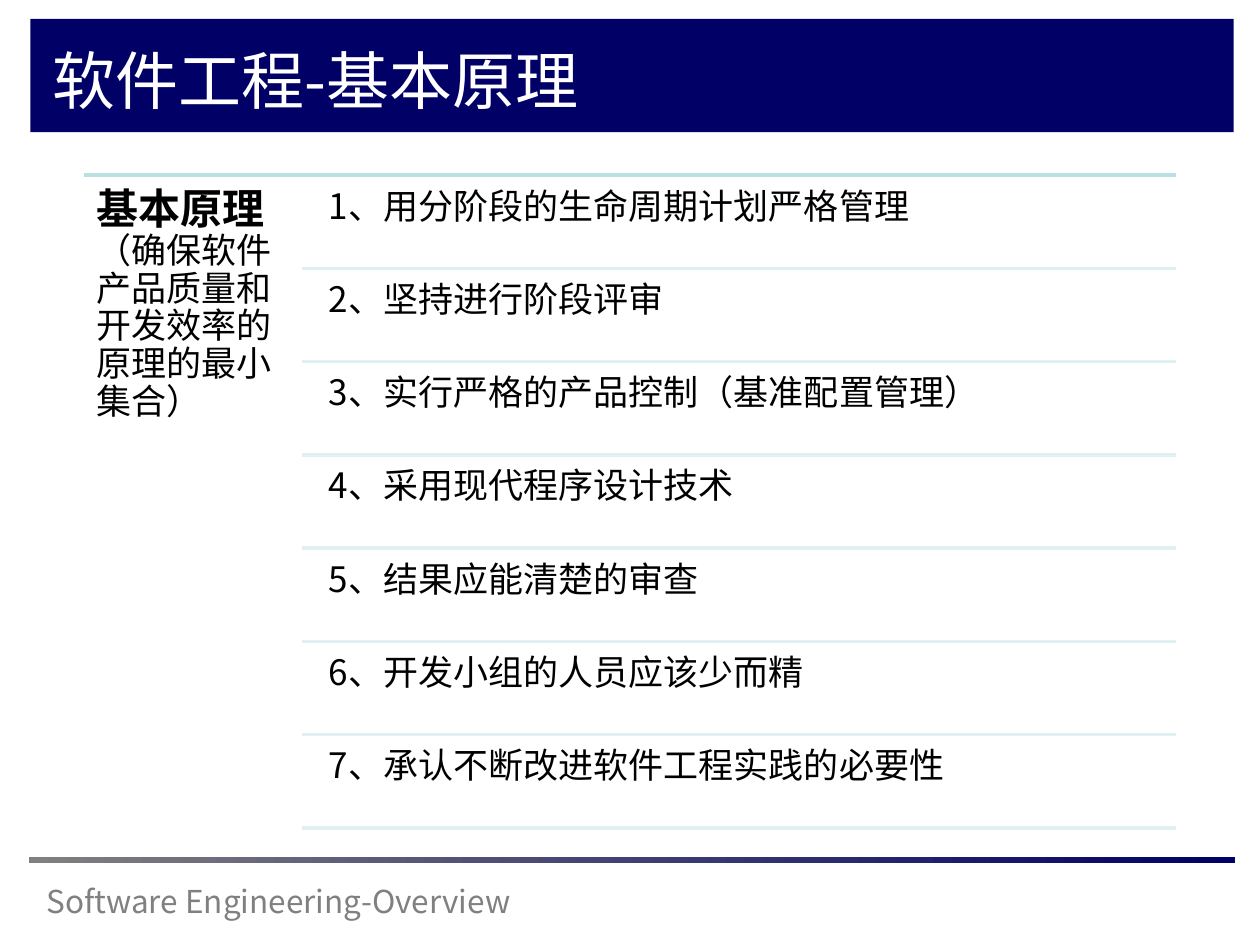
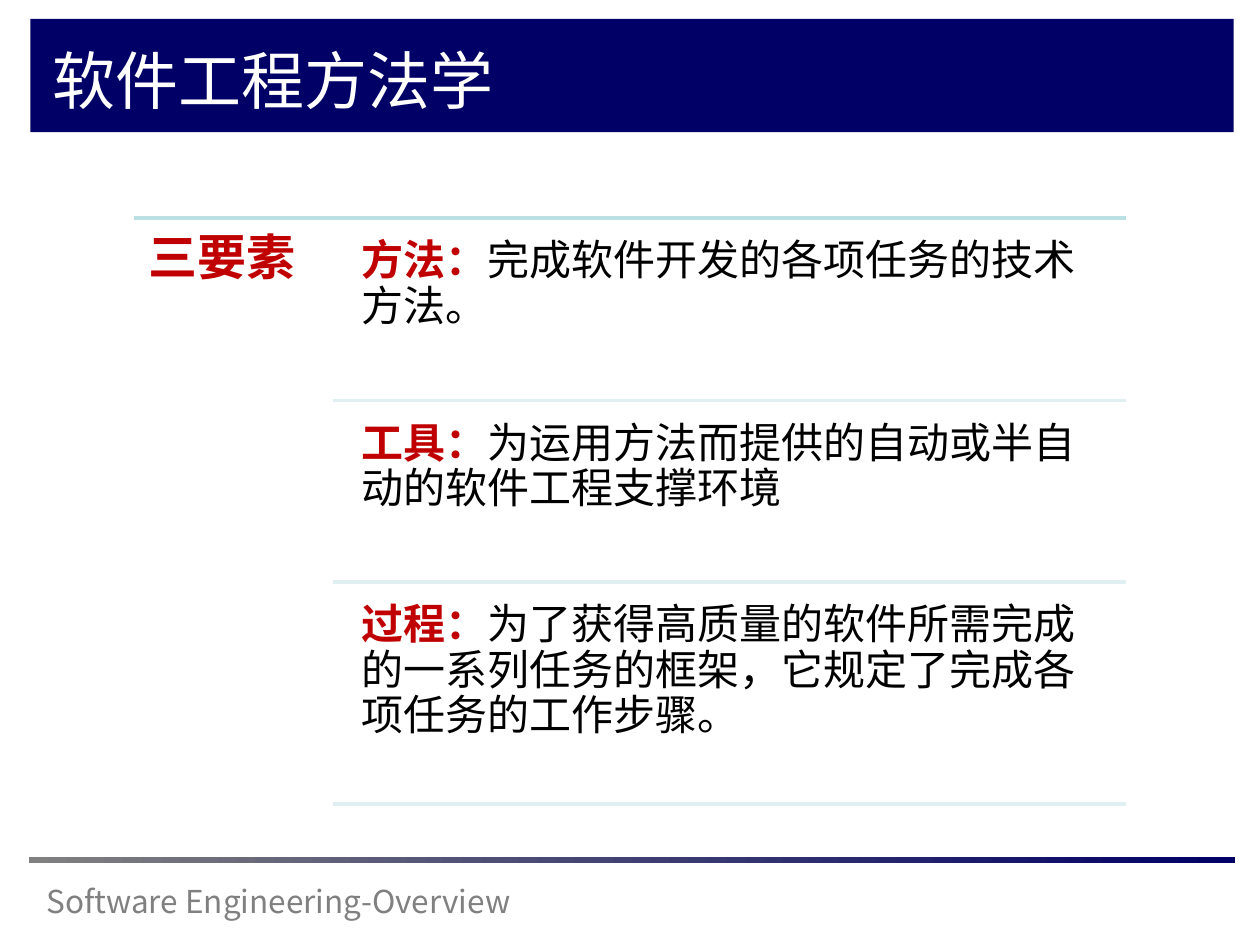
from lxml.etree import SubElement
from pptx import Presentation
from pptx.dml.color import RGBColor
from pptx.enum.shapes import MSO_CONNECTOR as CONN, MSO_SHAPE as SHAPE
from pptx.enum.text import MSO_ANCHOR as ANCHOR
from pptx.oxml.ns import qn
from pptx.util import Inches, Pt

FONT = "Noto Sans CJK SC"
NAVY, GRAY, WHITE, BLACK, RED = "000066", "808080", "FFFFFF", "000000", "C00000"
TEAL, PALE = "BBE0E3", "E0F0F2"

PRINCIPLES = [
    "用分阶段的生命周期计划严格管理",
    "坚持进行阶段评审",
    "实行严格的产品控制（基准配置管理）",
    "采用现代程序设计技术",
    "结果应能清楚的审查",
    "开发小组的人员应该少而精",
    "承认不断改进软件工程实践的必要性",
]
ELEMENTS = [
    ("方法：", "完成软件开发的各项任务的技术方法。", 1.38),
    ("工具：", "为运用方法而提供的自动或半自动的软件工程支撑环境", 1.37),
    ("过程：", "为了获得高质量的软件所需完成的一系列任务的框架，它规定了完成各项任务的工作步骤。", 1.69),
]


def rgb(value):
    """Turn a hex string into a colour."""
    return RGBColor.from_string(value)


def run(text, size=20, color=BLACK, bold=False):
    """Describe a piece of text and its format."""
    return {"text": text, "size": size, "color": color, "bold": bold}


class Deck:
    """Holds the shared style and the current slide."""

    def __init__(self):
        """Start an empty 10 by 7.5 inch deck."""
        self.prs = Presentation()
        self.prs.slide_width, self.prs.slide_height = Inches(10), Inches(7.5)
        self.s = None

    def slide(self, title):
        """Add a slide with its title band, footer and footer rule."""
        self.s = self.prs.slides.add_slide(self.prs.slide_layouts[6])
        self.band(0.24, 0.15, 9.55, 0.9, NAVY)
        self.text(0.27, 6.95, 5.17, 0.4, [run("Software Engineering-Overview", 18, GRAY)])
        self.band(0.23, 6.8, 9.57, 0.05, GRAY, NAVY)
        self.text(0.32, 0.26, 8.81, 0.74, [run(title, 36, WHITE)], anchor=ANCHOR.MIDDLE)

    def band(self, x, y, w, h, color, end=None):
        """Draw a borderless rectangle, fading to the end colour if given."""
        sp = self.s.shapes.add_shape(SHAPE.RECTANGLE, Inches(x), Inches(y), Inches(w), Inches(h))
        sp.shadow.inherit = False
        sp.line.fill.background()
        if end:
            sp.fill.gradient()
            sp.fill.gradient_angle = 0
            for stop, shade in zip(sp.fill.gradient_stops, (color, end)):
                stop.color.rgb = rgb(shade)
        else:
            sp.fill.solid()
            sp.fill.fore_color.rgb = rgb(color)

    def text(self, x, y, w, h, runs, inset=None, spacing=None, anchor=ANCHOR.TOP):
        """Place one wrapped paragraph made of formatted runs."""
        sp = self.s.shapes.add_textbox(Inches(x), Inches(y), Inches(w), Inches(h))
        tf = sp.text_frame
        tf.word_wrap = True
        tf.vertical_anchor = anchor
        if inset is not None:
            tf.margin_left = tf.margin_right = tf.margin_top = tf.margin_bottom = Inches(inset)
        p = tf.paragraphs[0]
        if spacing:
            p.line_spacing = spacing
        for part in runs:
            r = p.add_run()
            r.text = part["text"]
            r.font.size, r.font.bold = Pt(part["size"]), part["bold"]
            r.font.color.rgb = rgb(part["color"])
            r.font.name = FONT
            SubElement(r.font._element, qn("a:ea"), typeface=FONT)

    def rule(self, x1, x2, y, color):
        """Draw a horizontal line."""
        c = self.s.shapes.add_connector(CONN.STRAIGHT, Inches(x1), Inches(y), Inches(x2), Inches(y))
        c.line.color.rgb = rgb(color)
        c.line.width = Pt(2)
        SubElement(c._element.spPr, qn("a:effectLst"))

    def outline(self, left, split, right, top, label, rows, gap, insets):
        """Set a label beside rows of (runs, height), each closed by a rule."""
        height = sum(gap + h for _, h in rows)
        self.rule(left, right, top, TEAL)
        self.text(left, top, split - left, height, label, insets[0], 0.9)
        indent, y = 0.13, top
        for runs, h in rows:
            y += gap
            self.text(split + indent, y, right - split - indent, h, runs, insets[1], 0.9)
            y += h
            self.rule(split, right, y, PALE)


def main():
    """Build and save both slides."""
    deck = Deck()

    deck.slide("软件工程-基本原理")
    label = [run("基本原理", 24, bold=True), run("（确保软件产品质量和开发效率的原理的最小集合）")]
    rows = [([run(f"{n}、{text}")], 0.71) for n, text in enumerate(PRINCIPLES, 1)]
    deck.outline(0.67, 2.4, 9.33, 1.39, label, rows, gap=0.03, insets=(0.1, 0.08))

    deck.slide("软件工程方法学")
    label = [run("三要素", 28, RED, True)]
    rows = [([run(name, 24, RED, True), run(text, 24)], h) for name, text, h in ELEMENTS]
    deck.outline(1.06, 2.64, 8.94, 1.73, label, rows, gap=0.07, insets=(0.12, 0.1))

    deck.prs.save("out.pptx")


if __name__ == "__main__":
    main()
